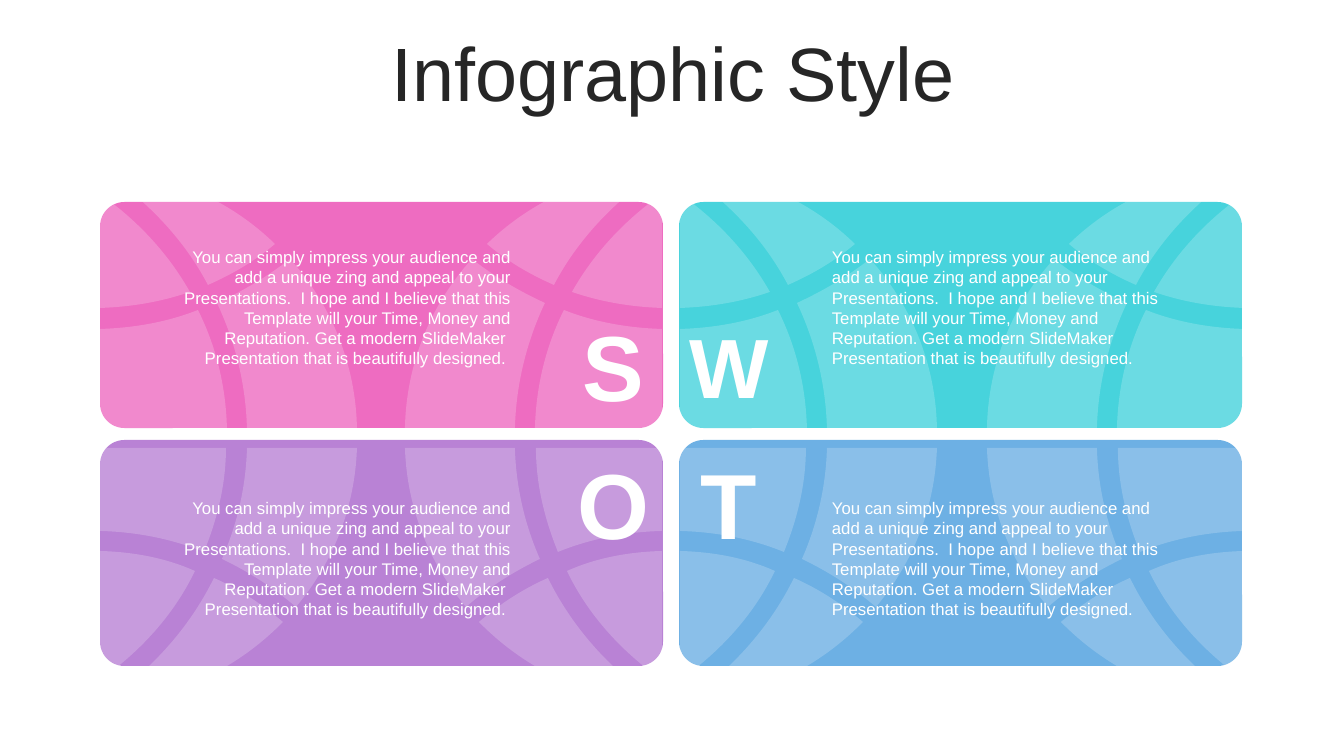
from itertools import chain
from lxml.etree import SubElement
from pptx import Presentation
from pptx.dml.color import RGBColor
from pptx.enum.shapes import MSO_SHAPE as Preset
from pptx.enum.text import MSO_ANCHOR as Anchor, MSO_AUTO_SIZE as AutoSize, PP_ALIGN as Align
from pptx.oxml.ns import qn
from pptx.util import Pt

EMU_PER_PX = 914400 / 100.8
FONT = "Arial"
WHITE = "FFFFFF"

BODY = (
    "You can simply impress your audience and add a unique zing and appeal to your "
    "Presentations.  I hope and I believe that this Template will your Time, Money and "
    "Reputation. Get a modern SlideMaker  Presentation that is beautifully designed. "
)

# Card left, top and colour
CARDS = [
    (679, 202, "47D3DC"),
    (679, 440, "6DB0E4"),
    (100, 440, "B982D5"),
    (100, 202, "EE6CC1"),
]

# Body text left, top and alignment
BODIES = [
    (172, 242, Align.RIGHT),
    (822, 242, Align.LEFT),
    (822, 493, Align.LEFT),
    (172, 493, Align.RIGHT),
]

# Letter, left, top, height and font size
LETTERS = [
    ("S", 565, 304, 122, 66),
    ("W", 680, 309, 112, 60),
    ("O", 565, 442, 122, 66),
    ("T", 680, 442, 122, 66),
]

# Half globe: each tile is a list of segments, as (distance from the flat edge, y).
# One point is a start or a line, three points are a Bézier curve.
HALF_GLOBE = [
    [[(114, 578)], [(90, 627), (53, 668), (9, 699)], [(14, 702)],
     [(81, 697), (140, 666), (183, 622)], [(162, 604), (139, 589), (114, 578)]],
    [[(0, 551)], [(0, 680)], [(40, 652), (74, 615), (95, 571)],
     [(66, 558), (34, 552), (0, 551)]],
    [[(126, 448)], [(0, 448)], [(0, 531)], [(37, 532), (72, 539), (104, 552)],
     [(117, 520), (126, 485), (126, 448)]],
    [[(257, 448)], [(147, 448)], [(146, 487), (137, 525), (122, 559)],
     [(149, 572), (174, 588), (196, 607)], [(233, 563), (255, 508), (257, 448)]],
    [[(98, 310)], [(68, 322), (34, 328), (0, 329)], [(0, 429)], [(127, 429)],
     [(126, 386), (116, 346), (98, 310)]],
    [[(190, 259)], [(167, 277), (143, 291), (117, 303)],
     [(135, 341), (146, 384), (147, 429)], [(257, 429)],
     [(256, 364), (231, 304), (190, 259)]],
    [[(0, 194)], [(0, 308)], [(31, 307), (61, 302), (90, 292)],
     [(68, 253), (37, 220), (0, 194)]],
    [[(17, 171)], [(9, 175)], [(50, 204), (85, 241), (108, 285)],
     [(133, 274), (155, 261), (175, 244)], [(134, 204), (79, 177), (17, 171)]],
]

# Flat edge and direction of the halves in each globe pattern
GLOBES = [
    [(662, -1), (680, 1)],
    [(1244, -1)],
    [(100, 1)],
]


def px(length):
    return round(length * EMU_PER_PX)


def color(hex_code):
    return RGBColor.from_string(hex_code)


def paint(shape, hex_code, opacity=100):
    shape.shadow.inherit = False
    shape.line.fill.background()
    shape.fill.solid()
    shape.fill.fore_color.rgb = color(hex_code)
    if opacity < 100:
        tint = shape.fill._xPr.find(qn("a:solidFill"))[0]
        SubElement(tint, qn("a:alpha")).set("val", str(opacity * 1000))


def add_card(slide, left, top, hex_code):
    card = slide.shapes.add_shape(
        Preset.ROUNDED_RECTANGLE, px(left), px(top), px(563), px(226))
    card.adjustments[0] = 0.108
    paint(card, hex_code)


def add_text(slide, text, left, top, width, height, size, align,
             hex_code=WHITE, anchor=Anchor.TOP, bold=False, grow=True):
    box = slide.shapes.add_textbox(px(left), px(top), px(width), px(height))
    frame = box.text_frame
    frame.word_wrap = True
    frame.auto_size = AutoSize.SHAPE_TO_FIT_TEXT if grow else AutoSize.NONE
    frame.vertical_anchor = anchor
    frame.text = text
    paragraph = frame.paragraphs[0]
    paragraph.alignment = align
    font = paragraph.runs[0].font
    font.name, font.size, font.bold = FONT, Pt(size), bold
    font.color.rgb = color(hex_code)
    return paragraph


def bend_lines(shape, segments):
    """Merge the three lines of every curved segment into one Bézier curve."""
    lines = iter(list(shape._element.iter(qn("a:lnTo"))))
    for segment in segments:
        curve, *controls = [next(lines) for _ in segment]
        if controls:
            curve.tag = qn("a:cubicBezTo")
        for line in controls:
            curve.append(line[0])
            line.getparent().remove(line)


def add_globe(slide, halves):
    outlines = [
        [(px(edge + direction * distance), px(y))
         for distance, y in chain.from_iterable(tile)]
        for edge, direction in halves for tile in HALF_GLOBE
    ]
    builder = slide.shapes.build_freeform(*outlines[0][0])
    for number, (start, *others) in enumerate(outlines):
        if number:
            builder.move_to(*start)
        builder.add_line_segments(others, close=True)
    globe = builder.convert_to_shape()
    bend_lines(globe, [segment for _ in halves for tile in HALF_GLOBE for segment in tile[1:]])
    paint(globe, WHITE, opacity=20)


def main():
    deck = Presentation()
    deck.slide_width, deck.slide_height = px(1344), px(756)
    slide = deck.slides.add_slide(deck.slide_layouts[6])

    # Title
    title = add_text(slide, "Infographic Style", 35, 37, 1276, 80, 54, Align.CENTER,
                     hex_code="262626", anchor=Anchor.MIDDLE, grow=False)
    title.line_spacing = 0.9

    # Cards with globe patterns
    for card in CARDS:
        add_card(slide, *card)
    for halves in GLOBES:
        add_globe(slide, halves)

    # Card texts and SWOT letters
    for left, top, align in BODIES:
        add_text(slide, BODY, left, top, 349, 132, 12, align)
    for letter, left, top, height, size in LETTERS:
        add_text(slide, letter, left, top, 97, height, size, Align.CENTER,
                 anchor=Anchor.MIDDLE, bold=True)

    deck.save("out.pptx")


if __name__ == "__main__":
    main()
